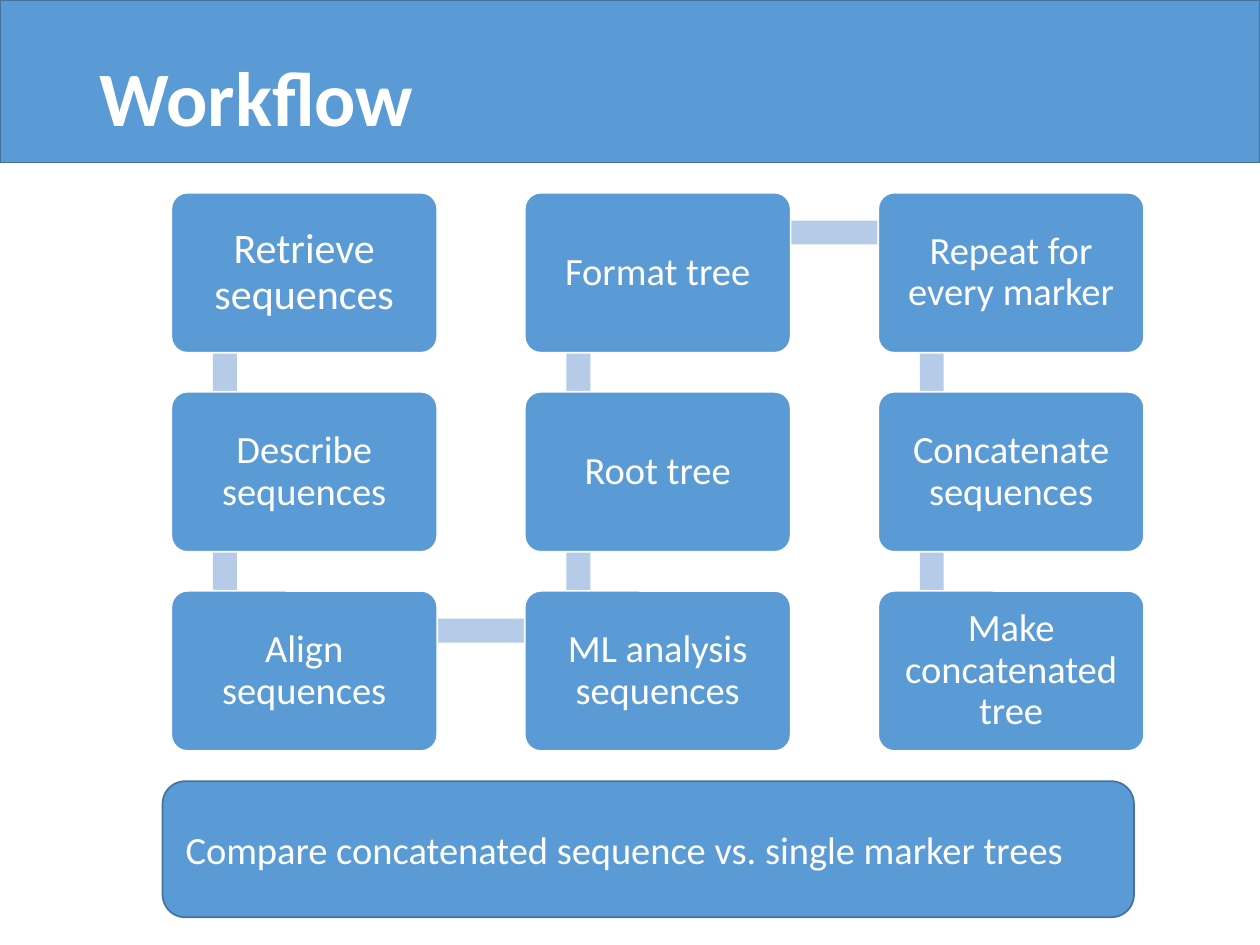
"""Build the workflow slide: a snaking grid of steps above a closing comparison."""
from itertools import pairwise

from pptx import Presentation
from pptx.dml.color import RGBColor
from pptx.enum.shapes import MSO_SHAPE
from pptx.enum.text import MSO_ANCHOR, PP_ALIGN
from pptx.util import Inches, Pt

THEME = {
    "font": "Calibri",
    "blue": RGBColor.from_string("5B9BD5"),
    "outline": RGBColor.from_string("43739E"),
    "pale": RGBColor.from_string("B5CBE7"),
    "white": RGBColor.from_string("FFFFFF"),
    "title": 44,
    "first": 24,
    "body": 22,
}
TITLE = "Workflow"
CONCLUSION = "Compare concatenated sequence vs. single marker trees"
STEPS = [
    ("Retrieve sequences", 0, 0),
    ("Describe sequences", 0, 1),
    ("Align sequences", 0, 2),
    ("ML analysis sequences", 1, 2),
    ("Root tree", 1, 1),
    ("Format tree", 1, 0),
    ("Repeat for every marker", 2, 0),
    ("Concatenate sequences", 2, 1),
    ("Make concatenated tree", 2, 2),
]
GRID_LEFT, GRID_TOP = 1.36, 1.53
COLUMN_STEP, ROW_STEP = 2.805, 1.58
BOX_WIDTH, BOX_HEIGHT = 2.11, 1.27
BAR_SIZE = 0.19
BAR_INSET_X, BAR_INSET_Y = 0.33, 0.22


def add_block(slide, kind, left, top, width, height, fill, line=None):
    block = slide.shapes.add_shape(
        kind, Inches(left), Inches(top), Inches(width), Inches(height))
    block.shadow.inherit = False
    block.fill.solid()
    block.fill.fore_color.rgb = fill
    if line is None:
        block.line.fill.background()
    else:
        block.line.color.rgb = line
        block.line.width = Pt(1)
    return block


def write(shape, text, size, align, inset, spacing=0.9, bold=False):
    frame = shape.text_frame
    frame.text = text
    frame.word_wrap = True
    frame.vertical_anchor = MSO_ANCHOR.MIDDLE
    frame.margin_left = frame.margin_right = Inches(inset)
    paragraph = frame.paragraphs[0]
    paragraph.alignment = align
    paragraph.line_spacing = spacing
    font = paragraph.runs[0].font
    font.name = THEME["font"]
    font.size = Pt(size)
    font.bold = bold
    font.color.rgb = THEME["white"]


def grid_position(column, row):
    return GRID_LEFT + column * COLUMN_STEP, GRID_TOP + row * ROW_STEP


deck = Presentation()
deck.slide_width, deck.slide_height = Inches(10), Inches(7.5)
slide = deck.slides.add_slide(deck.slide_layouts[5])

add_block(slide, MSO_SHAPE.RECTANGLE, 0, 0, 10, 1.29, THEME["blue"], THEME["outline"])
title = slide.shapes.title
title.element.getparent().append(title.element)
title.left, title.top = Inches(0.69), Inches(0.08)
title.width, title.height = Inches(8.62), Inches(1.45)
write(title, TITLE, THEME["title"], PP_ALIGN.LEFT, 0.1, bold=True)

for (_, column, row), (_, next_column, next_row) in pairwise(STEPS):
    left, top = grid_position(column, min(row, next_row))
    if column == next_column:
        place = (left + BAR_INSET_X, top + BOX_HEIGHT / 4, BAR_SIZE, ROW_STEP)
    else:
        place = (left + BOX_WIDTH / 5, top + BAR_INSET_Y, COLUMN_STEP, BAR_SIZE)
    add_block(slide, MSO_SHAPE.RECTANGLE, *place, THEME["pale"])

for index, (text, column, row) in enumerate(STEPS):
    box = add_block(slide, MSO_SHAPE.ROUNDED_RECTANGLE, *grid_position(column, row),
                    BOX_WIDTH, BOX_HEIGHT, THEME["blue"], THEME["white"])
    box.adjustments[0] = 0.1
    size = THEME["body"] if index else THEME["first"]
    write(box, text, size, PP_ALIGN.CENTER, 0.13)

conclusion = add_block(slide, MSO_SHAPE.ROUNDED_RECTANGLE, 1.29, 6.2, 7.71, 1.08,
                       THEME["blue"], THEME["outline"])
write(conclusion, CONCLUSION, THEME["body"], PP_ALIGN.LEFT, 0.13, spacing=1.0)

deck.save("out.pptx")
